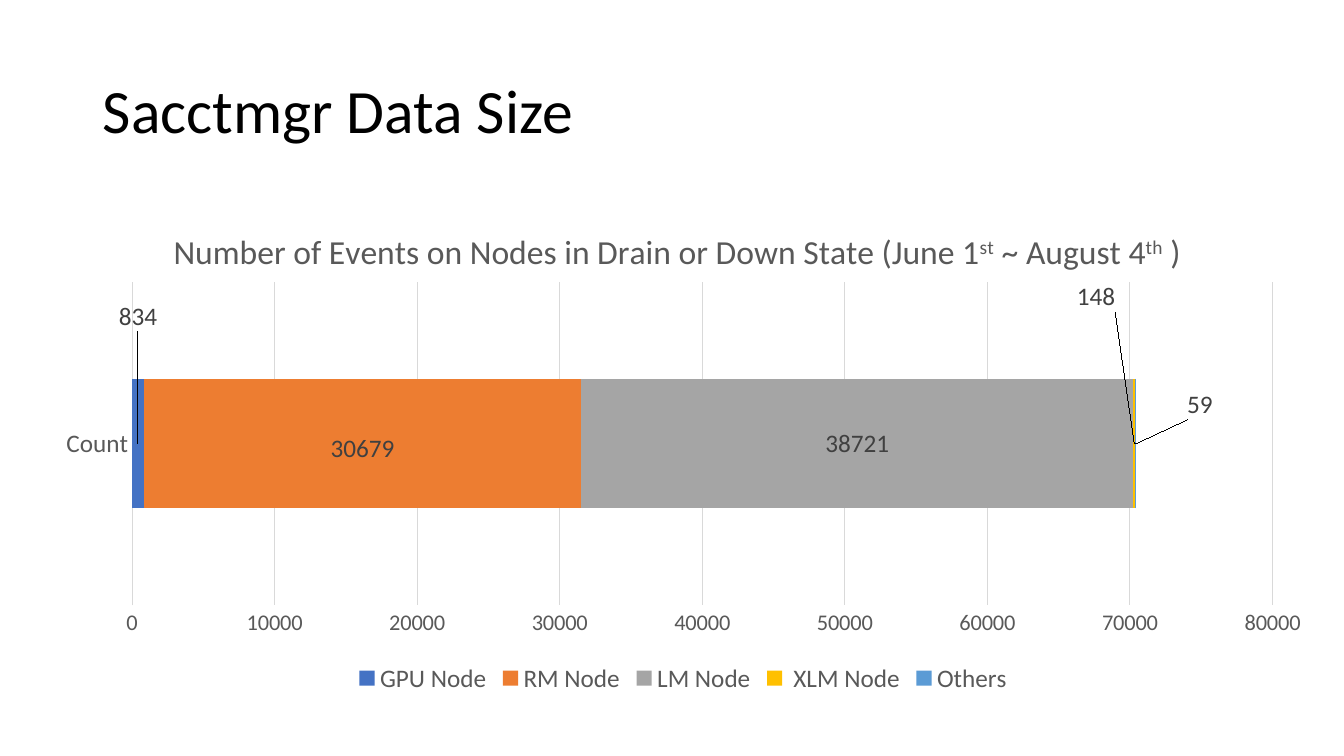
from dataclasses import dataclass

from lxml import etree
from pptx import Presentation
from pptx.chart.data import CategoryChartData
from pptx.dml.color import RGBColor
from pptx.enum.chart import XL_CHART_TYPE, XL_LABEL_POSITION, XL_LEGEND_POSITION, XL_TICK_MARK
from pptx.enum.text import MSO_ANCHOR, PP_ALIGN
from pptx.oxml.ns import qn
from pptx.util import Inches, Pt

STACKED_BAR = XL_CHART_TYPE.BAR_STACKED
CENTER = XL_LABEL_POSITION.CENTER
BOTTOM = XL_LEGEND_POSITION.BOTTOM
NO_TICK = XL_TICK_MARK.NONE
MIDDLE = MSO_ANCHOR.MIDDLE
LEFT = PP_ALIGN.LEFT

HEADING = "Sacctmgr Data Size"
EVENTS_TITLE = [
    ("Number of Events on Nodes in Drain or Down State (June 1", False),
    ("st", True),
    (" ~ August 4", False),
    ("th", True),
    (" )", False),
]
CATEGORY = "Count"
NODE_EVENTS = [
    ("GPU Node", 834, "4472C4", (0, -0.26)),
    ("RM Node", 30679, "ED7D31", (0, 0.01)),
    ("LM Node", 38721, "A5A5A5", None),
    (" XLM Node", 148, "FFC000", (-0.03, -0.3)),
    ("Others", 59, "5B9BD5", (0.05, -0.08)),
]
AXIS_MAX, AXIS_STEP = 80000, 10000

SLIDE_W, SLIDE_H = Inches(13.33), Inches(7.5)
HEADING_BOX = (0.92, 0.4, 11.5, 1.45)
CHART_BOX = (0.42, 2.07, 12.71, 4.86)
PLOT_SHARE = {"x": 0.07, "y": 0.15, "w": 0.89, "h": 0.66}
TITLE_SHARE = {"x": 0.1, "y": 0.04}


@dataclass(frozen=True)
class Theme:
    face: str = "Calibri"
    ink: str = "000000"
    muted: str = "595959"
    label: str = "404040"
    rule: str = "D9D9D9"
    heading: int = 44
    chart_title: int = 24
    body: int = 18
    scale: int = 16
    base: int = 10


THEME = Theme()


def style(font, size, color):
    font.name = THEME.face
    font.size = Pt(size)
    font.bold = False
    font.color.rgb = RGBColor.from_string(color)


def write(paragraph, text, size, color, raised=False):
    run = paragraph.add_run()
    run.text = text
    style(run.font, size, color)
    if raised:
        run.font._element.set("baseline", "30000")


def rule(line):
    line.color.rgb = RGBColor.from_string(THEME.rule)
    line.width = Pt(0.75)


def arrange(parent, index, edge=False, inner=False, **shares):
    for old in parent.findall(qn("c:layout")):
        parent.remove(old)
    layout = etree.Element(qn("c:layout"))
    manual = etree.SubElement(layout, qn("c:manualLayout"))
    if inner:
        etree.SubElement(manual, qn("c:layoutTarget")).set("val", "inner")
    if edge:
        for mode in ("c:xMode", "c:yMode"):
            etree.SubElement(manual, qn(mode)).set("val", "edge")
    for key, share in shares.items():
        etree.SubElement(manual, qn(f"c:{key}")).set("val", str(share))
    parent.insert(index, layout)


def add_heading(slide):
    heading = slide.shapes.title
    heading.left, heading.top, heading.width, heading.height = map(Inches, HEADING_BOX)
    heading.text_frame.vertical_anchor = MIDDLE
    paragraph = heading.text_frame.paragraphs[0]
    paragraph.alignment = LEFT
    paragraph.line_spacing = 0.9
    write(paragraph, HEADING, THEME.heading, THEME.ink)


def format_axes(chart):
    nodes, events = chart.category_axis, chart.value_axis
    for axis, size in ((nodes, THEME.body), (events, THEME.scale)):
        axis.major_tick_mark = axis.minor_tick_mark = NO_TICK
        style(axis.tick_labels.font, size, THEME.muted)
    rule(nodes.format.line)
    events.minimum_scale, events.maximum_scale = 0, AXIS_MAX
    events.major_unit = AXIS_STEP
    events.has_major_gridlines = True
    rule(events.major_gridlines.format.line)
    events.format.line.fill.background()


def format_series(series, color, offset):
    series.format.fill.solid()
    series.format.fill.fore_color.rgb = RGBColor.from_string(color)
    series.invert_if_negative = False
    labels = series.data_labels
    labels.show_value = True
    labels.position = CENTER
    style(labels.font, THEME.body, THEME.label)
    if offset:
        count = series.points[0].data_label
        style(count.font, THEME.body, THEME.label)
        count.position = CENTER
        moved = labels._element.find(qn("c:dLbl"))
        arrange(moved, 1, x=offset[0], y=offset[1])


def add_events_chart(slide):
    data = CategoryChartData()
    data.categories = [CATEGORY]
    for name, count, _, _ in NODE_EVENTS:
        data.add_series(name, [count])
    chart = slide.shapes.add_chart(STACKED_BAR, *map(Inches, CHART_BOX), data).chart
    style(chart.font, THEME.base, THEME.ink)

    chart.has_title = True
    paragraph = chart.chart_title.text_frame.paragraphs[0]
    for text, raised in EVENTS_TITLE:
        write(paragraph, text, THEME.chart_title, THEME.muted, raised=raised)
    arrange(chart.chart_title._element, 1, edge=True, **TITLE_SHARE)

    chart.has_legend = True
    chart.legend.position = BOTTOM
    chart.legend.include_in_layout = False
    style(chart.legend.font, THEME.body, THEME.muted)

    format_axes(chart)
    bars = chart.plots[0]
    bars.gap_width, bars.overlap = 150, 100
    bars.vary_by_categories = False
    for series, (_, _, color, offset) in zip(bars.series, NODE_EVENTS):
        format_series(series, color, offset)
    plot_area = chart._chartSpace.find(f".//{qn('c:plotArea')}")
    arrange(plot_area, 0, edge=True, inner=True, **PLOT_SHARE)


def main():
    deck = Presentation()
    deck.slide_width, deck.slide_height = SLIDE_W, SLIDE_H
    slide = deck.slides.add_slide(deck.slide_layouts[5])
    add_heading(slide)
    add_events_chart(slide)
    deck.save("out.pptx")


if __name__ == "__main__":
    main()
